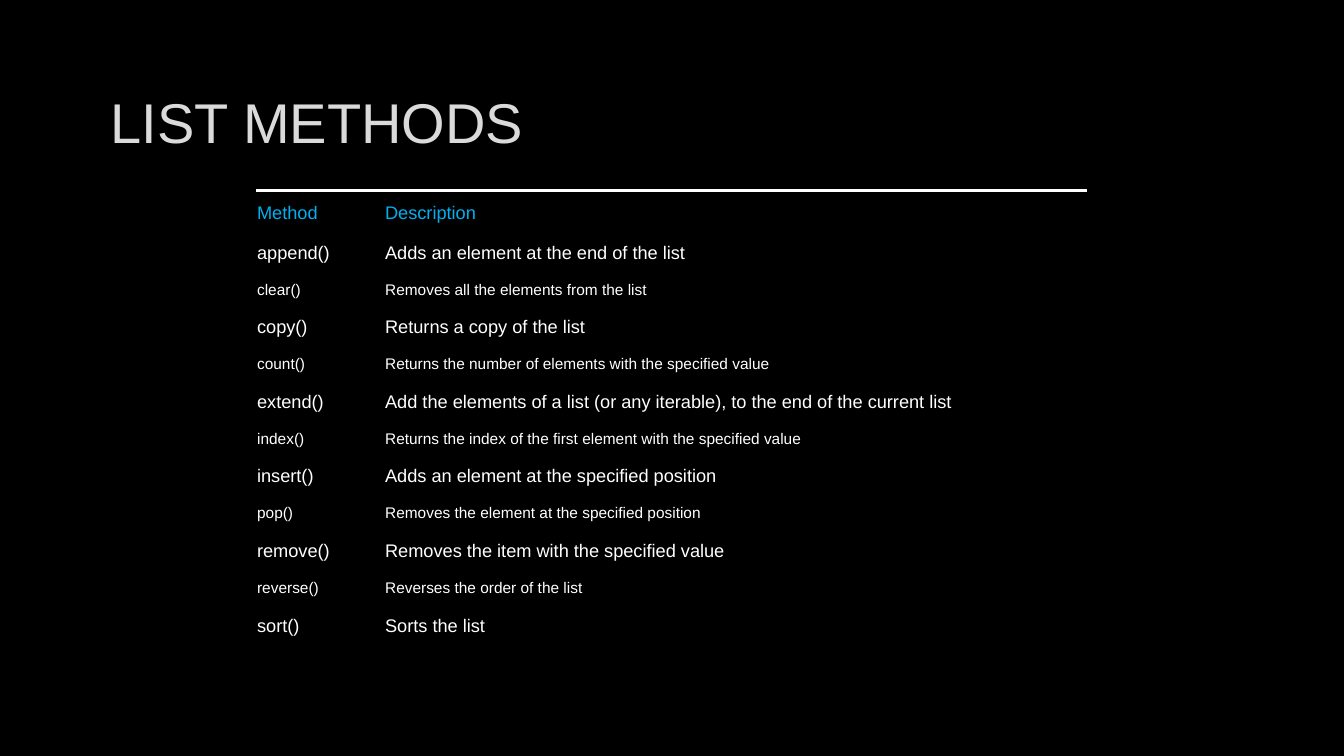
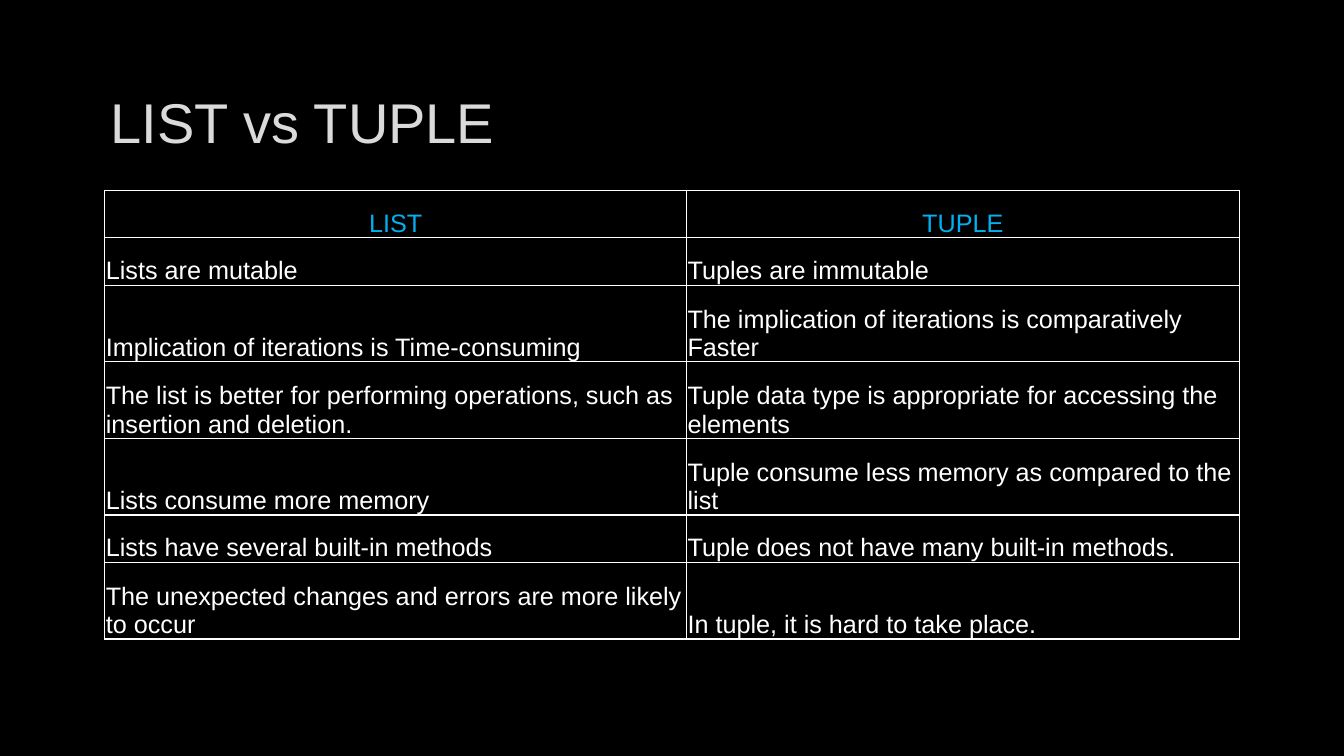
from lxml import etree
from pptx import Presentation, util as u
from pptx.dml.color import RGBColor
from pptx.enum import text
from pptx.oxml import parse_xml
from pptx.oxml.ns import nsdecls, qn

PX = 9144  # one px is a hundredth of an inch
FONT = "Arial"
COLORS = {"ground": "000000", "title": "DADADA", "outline": "404040",
          "heading": "00B0F0", "body": "FFFFFF", "rule": "FFFFFF"}
PLAIN_TABLE = "{2D5ABB26-0587-4C30-8999-92F81FD0307C}"
TABLE_TOP = 189

METHODS = [
    ("Method", "Description"),
    ("append()", "Adds an element at the end of the list"),
    ("clear()", "Removes all the elements from the list"),
    ("copy()", "Returns a copy of the list"),
    ("count()", "Returns the number of elements with the specified value"),
    ("extend()", "Add the elements of a list (or any iterable), to the end of the current list"),
    ("index()", "Returns the index of the first element with the specified value"),
    ("insert()", "Adds an element at the specified position"),
    ("pop()", "Removes the element at the specified position"),
    ("remove()", "Removes the item with the specified value"),
    ("reverse()", "Reverses the order of the list"),
    ("sort()", "Sorts the list"),
]
COMPARISON = [
    ("LIST", "TUPLE"),
    ("Lists are mutable", "Tuples are immutable"),
    ("Implication of iterations is Time-consuming",
     "The implication of iterations is comparatively Faster"),
    ("The list is better for performing operations, such as insertion and deletion.",
     "Tuple data type is appropriate for accessing the elements"),
    ("Lists consume more memory", "Tuple consume less memory as compared to the list"),
    ("Lists have several built-in methods", "Tuple does not have many built-in methods."),
    ("The unexpected changes and errors are more likely to occur",
     "In tuple, it is hard to take place."),
]


def px(length):
    return u.Emu(length * PX)


def color(name):
    return RGBColor.from_string(COLORS[name])


def style_text(para, size, color_name):
    for span in para.runs:
        span.font.name = FONT
        span.font.size = u.Pt(size)
        span.font.color.rgb = color(color_name)


def add_page(deck, title):
    """Add a black page with its title."""
    page = deck.slides.add_slide(deck.slide_layouts[6])
    page.background.fill.solid()
    page.background.fill.fore_color.rgb = color("ground")
    box = page.shapes.add_textbox(px(100), px(67), px(1132), px(106))
    frame = box.text_frame
    frame.word_wrap = True
    frame.vertical_anchor = text.MSO_ANCHOR.MIDDLE
    frame.text = title
    para = frame.paragraphs[0]
    style_text(para, 40, "title")
    # Faint outline around the letters
    outline = parse_xml(
        f'<a:ln {nsdecls("a")} w="{u.Pt(0.75)}"><a:solidFill>'
        f'<a:srgbClr val="{COLORS["outline"]}"><a:alpha val="10000"/></a:srgbClr>'
        '</a:solidFill></a:ln>')
    para.runs[0].font._element.insert(0, outline)
    return page


def add_borders(cell, sides, width):
    """Draw the cell's sides, named by L, R, T and B in that order."""
    properties = cell._tc.get_or_add_tcPr()
    for side in sides:
        line = etree.SubElement(properties, qn(f"a:ln{side}"), w=str(u.Pt(width)))
        fill = etree.SubElement(line, qn("a:solidFill"))
        etree.SubElement(fill, qn("a:srgbClr"), val=COLORS["rule"])


def add_table(page, left, widths, heights, rows):
    """Add a plain black table and return it."""
    frame = page.shapes.add_table(len(rows), len(widths), px(left), px(TABLE_TOP),
                                  px(sum(widths)), px(sum(heights)))
    table = frame.table
    table.first_row = table.horz_banding = False
    table._tbl.tblPr.find(qn("a:tableStyleId")).text = PLAIN_TABLE
    for column, width in zip(table.columns, widths):
        column.width = px(width)
    for row, height, words in zip(table.rows, heights, rows):
        row.height = px(height)
        for cell, wording in zip(row.cells, words):
            cell.text = wording
    return table


def format_cell(cell, size, color_name, top, bottom):
    cell.margin_left = cell.margin_right = px(1)
    cell.margin_top, cell.margin_bottom = px(top), px(bottom)
    cell.vertical_anchor = text.MSO_ANCHOR.BOTTOM
    cell.fill.solid()
    cell.fill.fore_color.rgb = color("ground")
    style_text(cell.text_frame.paragraphs[0], size, color_name)


def add_methods_table(page):
    # The header and every second row after it are larger
    large = [index == 0 or index % 2 == 1 for index in range(len(METHODS))]
    heights = [39 if is_large else 35 for is_large in large]
    table = add_table(page, 254, [127, 697], heights, METHODS)
    for index, row in enumerate(table.rows):
        for cell in row.cells:
            if index == 0:
                add_borders(cell, "T", 2.25)
            format_cell(cell, 13 if large[index] else 11,
                        "body" if index else "heading", 6, 6)


def add_comparison_table(page):
    heights = [47, 47, 76, 76, 76, 47, 76]
    table = add_table(page, 104, [577, 548], heights, COMPARISON)
    for index, row in enumerate(table.rows):
        for cell in row.cells:
            add_borders(cell, "LRTB", 1)
            format_cell(cell, 18, "body" if index else "heading", 13, 0)
            if index == 0:
                cell.text_frame.paragraphs[0].alignment = text.PP_ALIGN.CENTER


def main():
    deck = Presentation()
    deck.slide_width, deck.slide_height = px(1333), px(750)
    add_methods_table(add_page(deck, "LIST METHODS"))
    add_comparison_table(add_page(deck, "LIST vs TUPLE"))
    deck.save("out.pptx")


if __name__ == "__main__":
    main()
